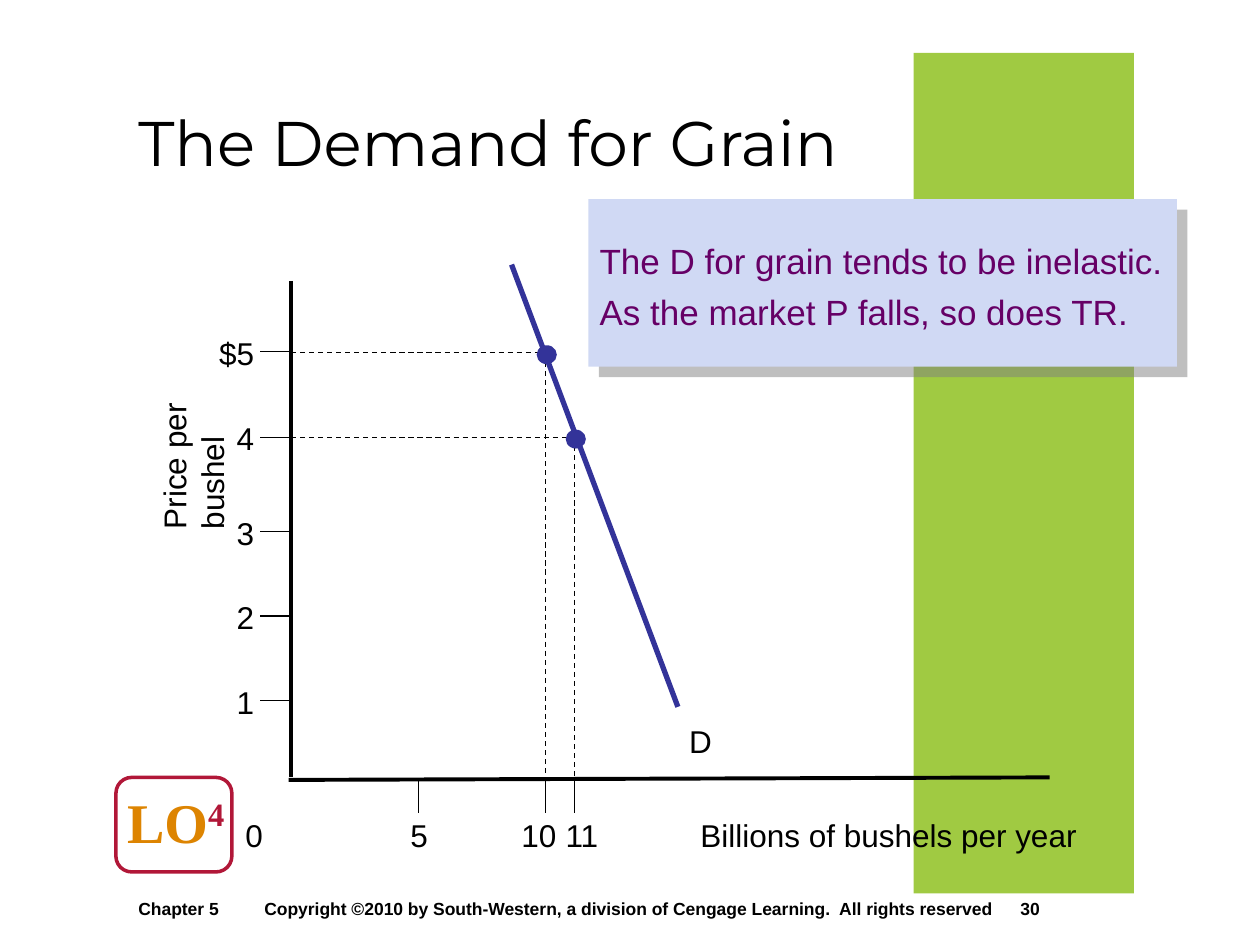
from lxml import etree
from pptx import Presentation
from pptx import util as u
from pptx.dml.color import RGBColor
from pptx.enum import dml, shapes, text
from pptx.oxml import ns

In, Pt = u.Inches, u.Pt


class Theme:
    black, white = "000000", "FFFFFF"
    green, panel, shade = "A0CA42", "D0D9F4", "808080"
    navy, plum = "333399", "660066"
    red, gold = "B11738", "DD8401"
    sans, head, serif = "Arial", "Montserrat", "Times New Roman"
    title, badge, note, label, foot = 36, 32, 20, 18, 10
    thin, axis, curve = 0.75, 2.25, 3


prs = Presentation()
prs.slide_width, prs.slide_height = In(10), In(7.5)
slide = prs.slides.add_slide(prs.slide_layouts[6])
art = slide.shapes


def write(words, x, y, w, h, size=Theme.label, color=Theme.black,
          face=Theme.sans, bold=False, wrap=False, tabs=()):
    box = art.add_textbox(In(x), In(y), In(w), In(h))
    frame = box.text_frame
    frame.text = words
    frame.word_wrap = wrap
    if not wrap:
        frame.auto_size = text.MSO_AUTO_SIZE.SHAPE_TO_FIT_TEXT
    for para in frame.paragraphs:
        if tabs:
            stops = etree.SubElement(para._p.get_or_add_pPr(), ns.qn("a:tabLst"))
            for stop in tabs:
                etree.SubElement(stops, ns.qn("a:tab"), pos=str(In(stop)), algn="l")
        for run in para.runs:
            font = run.font
            font.size, font.name, font.bold = Pt(size), face, bold
            font.color.rgb = RGBColor.from_string(color)
    return box


def draw(x1, y1, x2, y2, width=Theme.thin, color=Theme.black, dash=False):
    line = art.add_connector(shapes.MSO_CONNECTOR.STRAIGHT,
                             In(x1), In(y1), In(x2), In(y2))
    line.line.width = Pt(width)
    line.line.color.rgb = RGBColor.from_string(color)
    if dash:
        line.line.dash_style = dml.MSO_LINE.DASH
    etree.SubElement(line._element.spPr, ns.qn("a:effectLst"))


# Badge frame, green band and note panel
kind = shapes.MSO_SHAPE
frames = {}
for name, form, x, y, w, h, fill in (
    ("badge", kind.ROUNDED_RECTANGLE, 0.92, 6.17, 0.92, 0.75, Theme.white),
    ("band", kind.RECTANGLE, 7.25, 0.42, 1.75, 6.67, Theme.green),
    ("panel", kind.RECTANGLE, 4.67, 1.58, 4.67, 1.33, Theme.panel),
):
    shape = art.add_shape(form, In(x), In(y), In(w), In(h))
    shape.shadow.inherit = False
    shape.fill.solid()
    shape.fill.fore_color.rgb = RGBColor.from_string(fill)
    shape.line.fill.background()
    frames[name] = shape
edge = frames["badge"].line
edge.color.rgb = RGBColor.from_string(Theme.red)
edge.width = Pt(2)

# Panel shadow
glow = frames["panel"]._element.spPr.find(ns.qn("a:effectLst"))
drop = etree.SubElement(glow, ns.qn("a:outerShdw"), dist=str(Pt(8.5)),
                        dir="2700000", algn="ctr", rotWithShape="0")
tint = etree.SubElement(drop, ns.qn("a:srgbClr"), val=Theme.shade)
etree.SubElement(tint, ns.qn("a:alpha"), val="50000")

# Title, badge text and footer
title = write("The Demand for Grain", 1, 0.5, 9, 1.25, Theme.title,
              face=Theme.head, wrap=True)
title.text_frame.vertical_anchor = text.MSO_ANCHOR.MIDDLE

badge = write("LO", 0.91, 6.2, 0.98, 0.64, Theme.badge, Theme.gold,
              Theme.serif, bold=True)
power = badge.text_frame.paragraphs[0].add_run()
power.text = "4"
power.font.size, power.font.name, power.font.bold = Pt(Theme.badge), Theme.serif, True
power.font.color.rgb = RGBColor.from_string(Theme.red)
power._r.get_or_add_rPr().set("baseline", "30000")

write("\tChapter 5\tCopyright ©2010 by South-Western, a division of Cengage "
      "Learning.  All rights reserved\t30", 0, 7.08, 10, 0.42, Theme.foot,
      bold=True, wrap=True, tabs=(1, 2, 8))

# Demand curve
draw(4.06, 2.1, 5.38, 5.61, Theme.curve, Theme.navy)
write("D", 5.37, 5.68, 0.38, 0.4)

# Quantity axis
draw(2.29, 6.19, 8.33, 6.17, Theme.axis)
for mark, mid, w in (("0", 2.02, 0.34), ("5", 3.33, 0.34),
                     ("10", 4.28, 0.48), ("11", 4.63, 0.48)):
    write(mark, mid - w / 2, 6.43, w, 0.4)
for x in (3.32, 4.33, 4.56):
    draw(x, 6.19, x, 6.45)
write("Billions of bushels per year", 5.46, 6.43, 3.19, 0.4)

# Price axis
draw(2.31, 2.23, 2.31, 6.17, Theme.axis)
for mark, y, w in (("$5", 2.79, 0.48), ("4", 3.47, 0.34), ("3", 4.22, 0.34),
                   ("2", 4.89, 0.34), ("1", 5.56, 0.34)):
    write(mark, 2.12 - w, y - 0.19, w, 0.4)
    draw(2.32, y, 2.06, y)
write("Price per bushel", 0.38, 3.1, 2, 0.4).rotation = 270

# Guides and points on the curve
for x, y in ((4.33, 2.8), (4.56, 3.47)):
    draw(x, y, x, 6.19, dash=True)
    draw(2.31, y, x, y, dash=True)
    dot = art.add_shape(kind.OVAL, In(x - 0.07), In(y - 0.06), In(0.16), In(0.15))
    dot.shadow.inherit = False
    dot.fill.solid()
    dot.fill.fore_color.rgb = RGBColor.from_string(Theme.navy)
    dot.line.fill.background()

# Note
note = write("The D for grain tends to be inelastic.\n"
             "As the market P falls, so does TR.",
             4.66, 1.85, 4.75, 0.84, Theme.note, Theme.plum)
note.text_frame.paragraphs[1].space_before = Pt(5)

prs.save("out.pptx")
